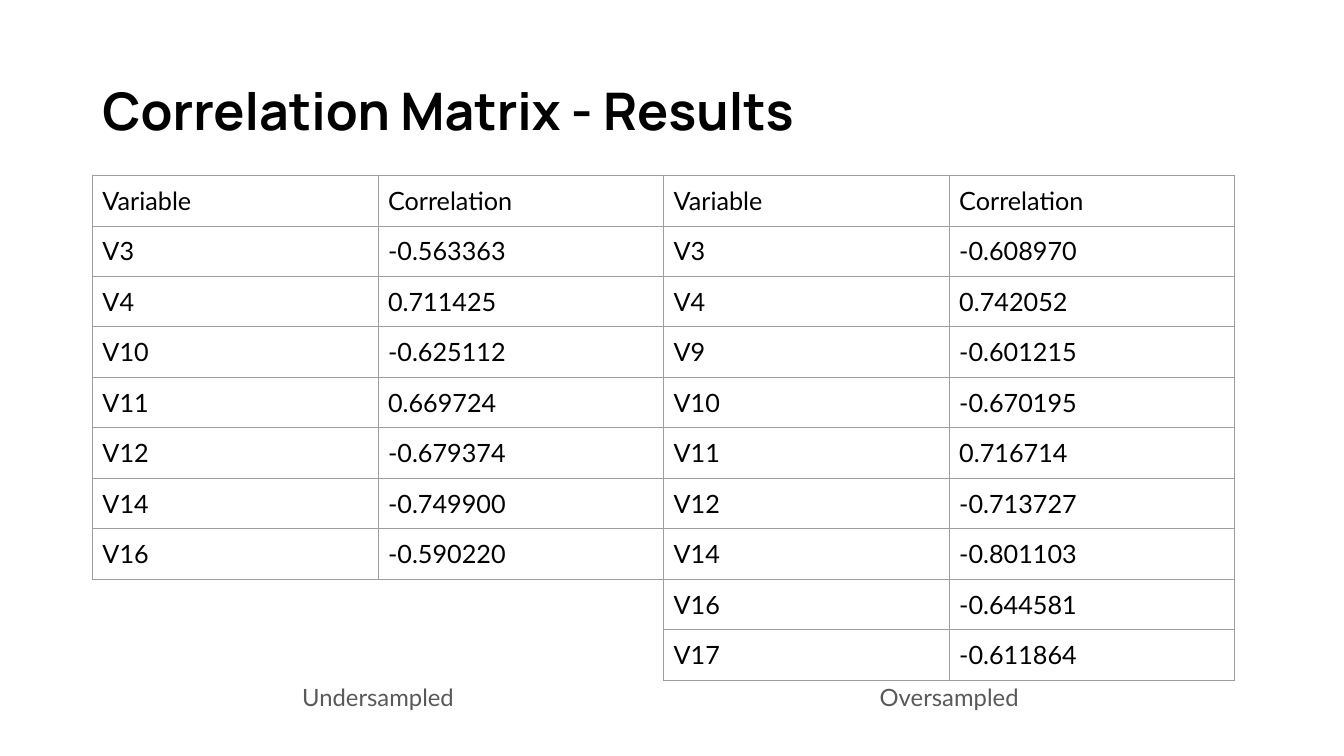
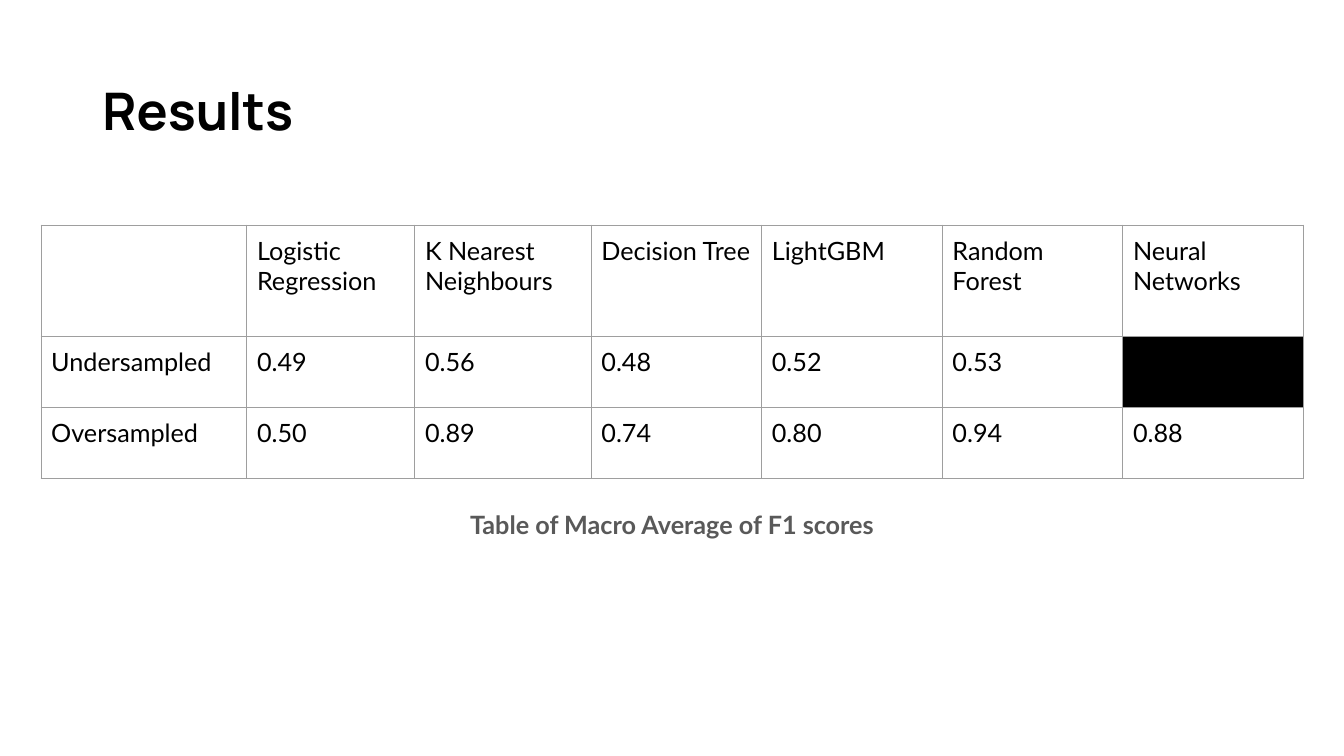
from dataclasses import dataclass

from lxml.etree import SubElement
from pptx import Presentation
from pptx.dml.color import RGBColor
from pptx.enum.text import MSO_ANCHOR, MSO_AUTO_SIZE, PP_ALIGN
from pptx.oxml import parse_xml
from pptx.oxml.ns import nsdecls, qn
from pptx.util import Inches, Pt


@dataclass(frozen=True)
class Theme:
    heading_font: str = "Manrope"
    body_font: str = "Lato"
    ink: str = "000000"
    caption: str = "595959"
    border: str = "9E9E9E"
    title_size: float = 37
    label_size: float = 17
    text_size: float = 18
    border_width: float = 0.75


theme = Theme()
deck = Presentation()
deck.slide_width, deck.slide_height = Inches(13.33), Inches(7.5)
column, row = deck.slide_width / 160, deck.slide_height / 90
margin, content_width = 11, 138


def set_placeholder(box, text, area, font, size, color, bold, align):
    left, top, width, height = area
    box.left, box.width = round(left * column), round(width * column)
    box.top, box.height = round(top * row), round(height * row)
    frame = box.text_frame
    frame.text = text
    frame.word_wrap = True
    frame.auto_size = MSO_AUTO_SIZE.NONE
    para = frame.paragraphs[0]
    para.alignment = align
    para.line_spacing = 0.9
    para.font.name, para.font.size, para.font.bold = font, Pt(size), bold
    para.font.color.rgb = RGBColor.from_string(color)
    return para


def add_grid(slide, rows, left, top, widths, heights):
    table = slide.shapes.add_table(
        len(rows), len(widths), round(left * column), round(top * row),
        round(sum(widths) * column), round(sum(heights) * row)).table
    table.first_row = table.horz_banding = False
    for table_column, width in zip(table.columns, widths):
        table_column.width = round(width * column)
    for table_row, height, values in zip(table.rows, heights, rows):
        table_row.height = round(height * row)
        for cell, value in zip(table_row.cells, values):
            cell.text = value
            cell.margin_left = cell.margin_right = Inches(0.1)
            cell.margin_top = cell.margin_bottom = Inches(0.1)
            cell.fill.background()
            font = cell.text_frame.paragraphs[0].font
            font.name, font.size = theme.body_font, Pt(theme.text_size)
            font.color.rgb = RGBColor.from_string(theme.ink)
            properties = cell._tc.get_or_add_tcPr()
            for place, side in enumerate(("lnL", "lnR", "lnT", "lnB")):
                properties.insert(place, parse_xml(
                    f'<a:{side} {nsdecls("a")} w="{Pt(theme.border_width)}"><a:solidFill>'
                    f'<a:srgbClr val="{theme.border}"/></a:solidFill></a:{side}>'))
    return table


header = ("Variable", "Correlation")
samples = [
    ("Undersampled", [
        header, ("V3", "-0.563363"), ("V4", "0.711425"), ("V10", "-0.625112"),
        ("V11", "0.669724"), ("V12", "-0.679374"), ("V14", "-0.749900"),
        ("V16", "-0.590220")]),
    ("Oversampled", [
        header, ("V3", "-0.608970"), ("V4", "0.742052"), ("V9", "-0.601215"),
        ("V10", "-0.670195"), ("V11", "0.716714"), ("V12", "-0.713727"),
        ("V14", "-0.801103"), ("V16", "-0.644581"), ("V17", "-0.611864")]),
]
scores = [
    ("", "Logistic Regression", "K Nearest Neighbours", "Decision Tree",
     "LightGBM", "Random Forest", "Neural Networks"),
    ("Undersampled", "0.49", "0.56", "0.48", "0.52", "0.53", ""),
    ("Oversampled", "0.50", "0.89", "0.74", "0.80", "0.94", "0.88"),
]

correlation_slide = deck.slides.add_slide(deck.slide_layouts.get_by_name("Two Content"))
score_slide = deck.slides.add_slide(deck.slide_layouts.get_by_name("Title and Content"))

for slide, title in ((correlation_slide, "Correlation Matrix - Results"),
                     (score_slide, "Results")):
    set_placeholder(slide.shapes.title, title, (margin, 4.8, content_width, 17.4),
                    theme.heading_font, theme.title_size, theme.ink, True, PP_ALIGN.LEFT)
    slide.shapes.title.text_frame.vertical_anchor = MSO_ANCHOR.MIDDLE

cell_width, label_width = 34, 27
captions = []
for index, (label, rows) in enumerate(samples):
    left = margin + index * 2 * cell_width
    add_grid(correlation_slide, rows, left, 20.9, [cell_width] * 2, [6] * len(rows))
    captions.append(set_placeholder(
        correlation_slide.placeholders[index + 1], label,
        (left + cell_width - label_width / 2, 81.1, label_width, 8.3),
        theme.body_font, theme.label_size, theme.caption, False, PP_ALIGN.CENTER))

score_table = add_grid(score_slide, scores, 4.9, 26.8,
                       [24.5, 20, 21, 20.3, 21.5, 21.5, 21.5], [13.3, 8.4, 8.4])
missing_score = score_table.cell(1, 6)
missing_score.fill.solid()
missing_score.fill.fore_color.rgb = RGBColor.from_string(theme.ink)

score_caption = set_placeholder(
    score_slide.placeholders[1], "Table of Macro Average of F1 scores",
    (margin, 60.4, content_width, 11.5),
    theme.body_font, theme.text_size, theme.caption, True, PP_ALIGN.CENTER)
score_caption.space_after = Pt(21)

for para in (*captions, score_caption):
    para.space_before = Pt(10)
    properties = para._p.get_or_add_pPr()
    properties.set("marL", "0")
    properties.set("indent", "0")
    bullet = SubElement(properties, qn("a:buNone"))
    properties.find(qn("a:defRPr")).addprevious(bullet)

deck.save("out.pptx")
